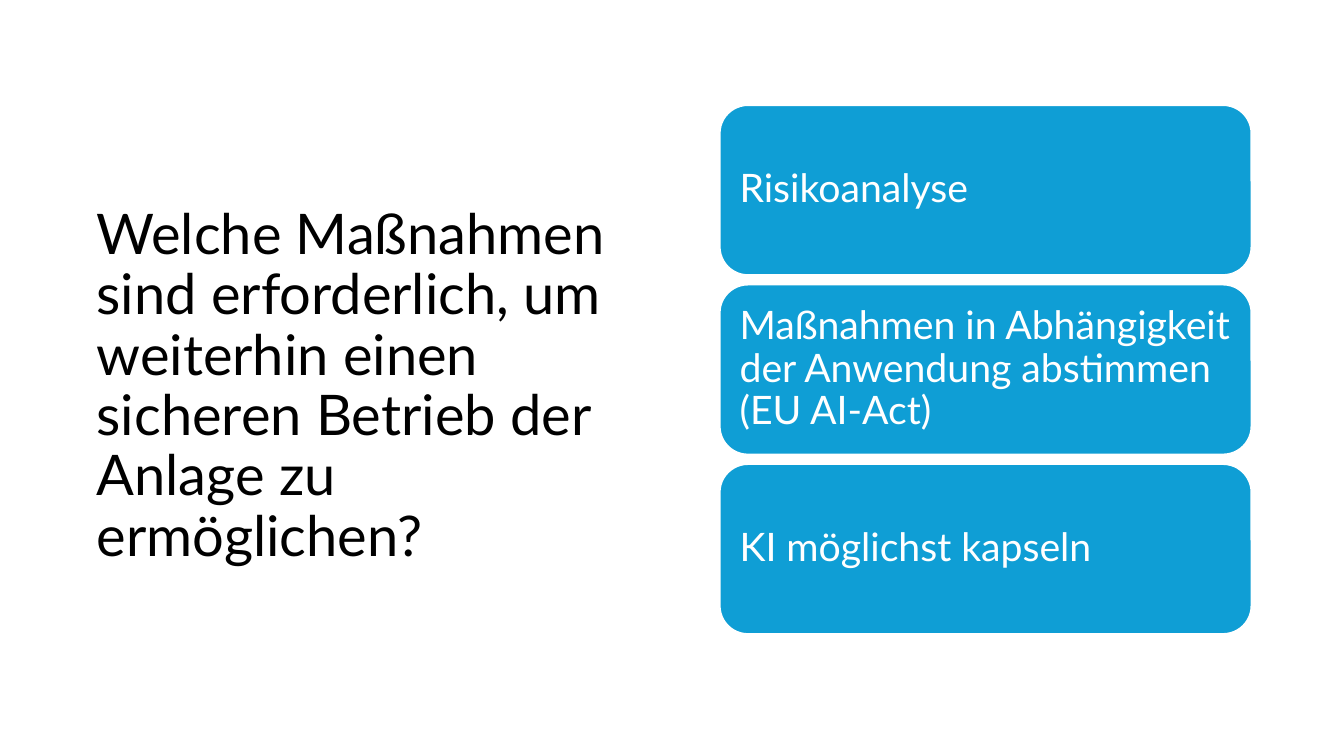
from dataclasses import dataclass

from pptx import Presentation
from pptx.dml.color import RGBColor
from pptx.enum.shapes import MSO_SHAPE
from pptx.enum.text import MSO_ANCHOR, PP_ALIGN
from pptx.util import Pt

ROUNDED = MSO_SHAPE.ROUNDED_RECTANGLE
MIDDLE = MSO_ANCHOR.MIDDLE
LEFT = PP_ALIGN.LEFT


@dataclass(frozen=True)
class Theme:
    font: str = "Lato"
    ink: RGBColor = RGBColor(0x00, 0x00, 0x00)
    paper: RGBColor = RGBColor(0xFF, 0xFF, 0xFF)
    accent: RGBColor = RGBColor(0x0F, 0x9E, 0xD5)
    title_size: int = 40
    card_size: int = 28
    line_spacing: float = 0.9


class SlideBuilder:
    def __init__(self, slide, theme):
        self.slide = slide
        self.theme = theme

    def set_text(self, sp, text, size, color):
        tf = sp.text_frame
        tf.word_wrap = True
        tf.vertical_anchor = MIDDLE
        p = tf.paragraphs[0]
        p.text = text
        p.alignment = LEFT
        p.line_spacing = self.theme.line_spacing
        p.font.name = self.theme.font
        p.font.size = Pt(size)
        p.font.color.rgb = color
        return tf

    def title(self, text, x, y, w, h):
        sp = self.slide.shapes.add_textbox(Pt(x), Pt(y), Pt(w), Pt(h))
        self.set_text(sp, text, self.theme.title_size, self.theme.ink)

    def card(self, text, x, y, w, h, inset=8.4):
        sp = self.slide.shapes.add_shape(ROUNDED, Pt(x), Pt(y), Pt(w), Pt(h))
        sp.shadow.inherit = False
        sp.fill.solid()
        sp.fill.fore_color.rgb = self.theme.accent
        sp.line.color.rgb = self.theme.paper
        sp.line.width = Pt(1.5)
        tf = self.set_text(sp, text, self.theme.card_size, self.theme.paper)
        tf.margin_left = tf.margin_right = Pt(inset)
        tf.margin_top = tf.margin_bottom = Pt(inset)

    def card_stack(self, texts, x, y, w, h, gap):
        for i, text in enumerate(texts):
            self.card(text, x, y + i * (h + gap), w, h)


def main():
    prs = Presentation()
    prs.slide_width = Pt(960)
    prs.slide_height = Pt(540)
    s = SlideBuilder(prs.slides.add_slide(prs.slide_layouts[6]), Theme())

    s.title(
        "Welche Maßnahmen sind erforderlich, um weiterhin einen sicheren "
        "Betrieb der Anlage zu ermöglichen?",
        62, 66.5, 404, 420,
    )
    measures = [
        "Risikoanalyse",
        "Maßnahmen in Abhängigkeit der Anwendung abstimmen (EU AI-Act)",
        "KI möglichst kapseln",
    ]
    s.card_stack(measures, 514, 75, 380, 121.6, gap=6.6)

    prs.save("out.pptx")


if __name__ == "__main__":
    main()
